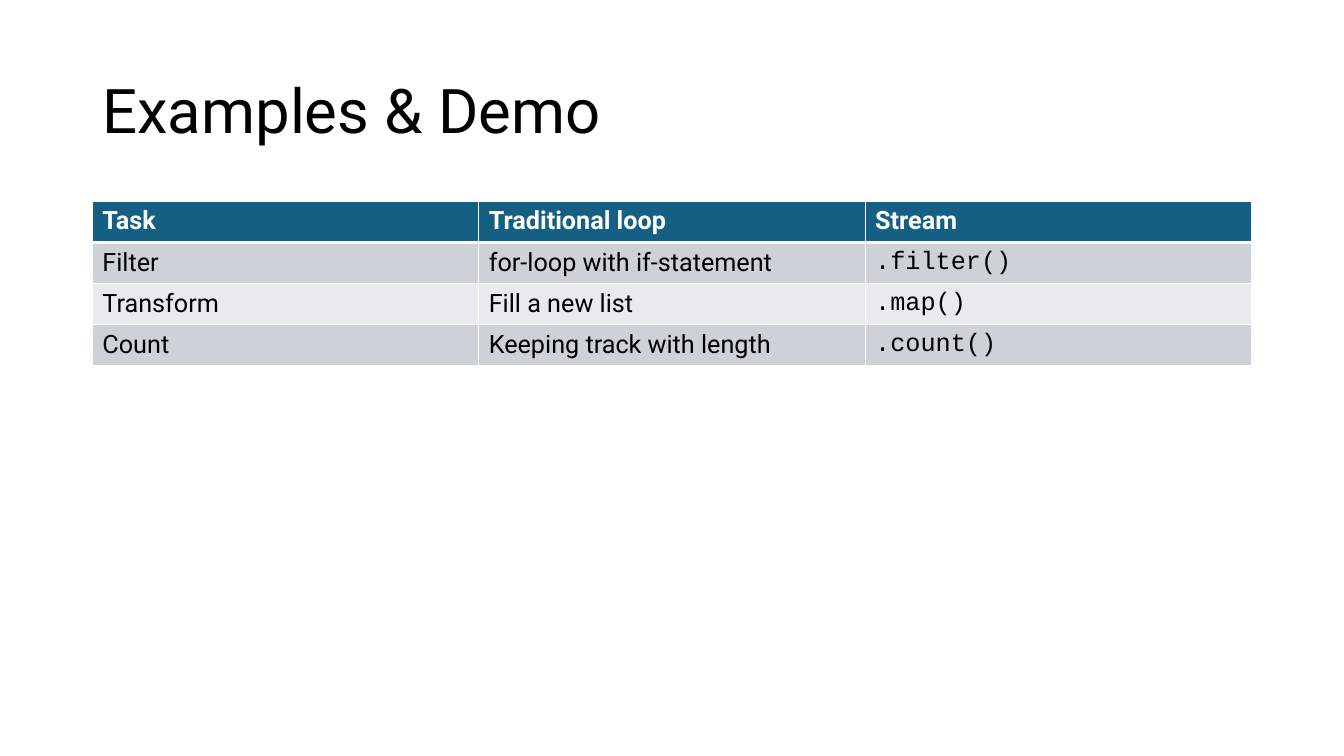
"""Build the Examples & Demo slide comparing loops with streams."""
from lxml import etree
from pptx import Presentation
from pptx.dml.color import RGBColor
from pptx.enum.text import MSO_ANCHOR, PP_ALIGN
from pptx.oxml.ns import qn
from pptx.util import Pt

TOP, MIDDLE = MSO_ANCHOR.TOP, MSO_ANCHOR.MIDDLE
LEFT_ALIGN = PP_ALIGN.LEFT

TITLE = "Examples & Demo"
ROWS = [
    ("Task", "Traditional loop", "Stream"),
    ("Filter", "for-loop with if-statement", ".filter()"),
    ("Transform", "Fill a new list", ".map()"),
    ("Count", "Keeping track with length", ".count()"),
]
COLORS = {
    "text": "000000",
    "white": "FFFFFF",
    "header": "156082",
    "odd": "CCD2D8",
    "even": "E8EAED",
}
BODY_FONT, CODE_FONT = "Roboto", "Courier New"
LEFT, WIDTH = 66, 828
TITLE_TOP, TITLE_HEIGHT = 28.75, 104.38
TABLE_TOP, ROW_HEIGHT = 144, 29.2
THIN, THICK = 0.96, 3


def color(name):
    return RGBColor.from_string(COLORS[name])


def set_font(font, name, size, color_name, bold=False):
    font.name = name
    font.size = Pt(size)
    font.bold = bold
    font.color.rgb = color(color_name)


def add_border(cell, side, width):
    properties = cell._tc.get_or_add_tcPr()
    line = etree.SubElement(properties, qn(f"a:ln{side}"), w=str(Pt(width)))
    fill = etree.SubElement(line, qn("a:solidFill"))
    etree.SubElement(fill, qn("a:srgbClr"), val=COLORS["white"])


def add_title(slide):
    title = slide.shapes.title
    title.left, title.top = Pt(LEFT), Pt(TITLE_TOP)
    title.width, title.height = Pt(WIDTH), Pt(TITLE_HEIGHT)
    frame = title.text_frame
    frame.text = TITLE
    frame.word_wrap = True
    frame.vertical_anchor = MIDDLE
    paragraph = frame.paragraphs[0]
    paragraph.alignment = LEFT_ALIGN
    paragraph.line_spacing = 0.9
    set_font(paragraph.font, BODY_FONT, 44, "text")


def format_cell(cell, text, row, column):
    header = row == 0
    cell.text = text
    cell.vertical_anchor = TOP if header else MIDDLE
    widths = {"L": THIN, "R": THIN,
              "T": THICK if row == 1 else THIN,
              "B": THICK if header else THIN}
    for side, width in widths.items():
        add_border(cell, side, width)
    cell.fill.solid()
    band = "odd" if row % 2 else "even"
    cell.fill.fore_color.rgb = color("header" if header else band)
    is_code = column == 2 and not header
    set_font(cell.text_frame.paragraphs[0].font,
             CODE_FONT if is_code else BODY_FONT, 18,
             "white" if header else "text", header)


def add_comparison_table(slide):
    column_count = len(ROWS[0])
    table = slide.shapes.add_table(
        len(ROWS), column_count, Pt(LEFT), Pt(TABLE_TOP),
        Pt(WIDTH), Pt(ROW_HEIGHT * len(ROWS))).table
    for column in table.columns:
        column.width = Pt(WIDTH / column_count)
    for row, texts in enumerate(ROWS):
        table.rows[row].height = Pt(ROW_HEIGHT)
        for column, text in enumerate(texts):
            format_cell(table.cell(row, column), text, row, column)


def main():
    presentation = Presentation()
    presentation.slide_width, presentation.slide_height = Pt(960), Pt(540)
    slide = presentation.slides.add_slide(presentation.slide_layouts[5])
    add_title(slide)
    add_comparison_table(slide)
    presentation.save("out.pptx")


if __name__ == "__main__":
    main()
